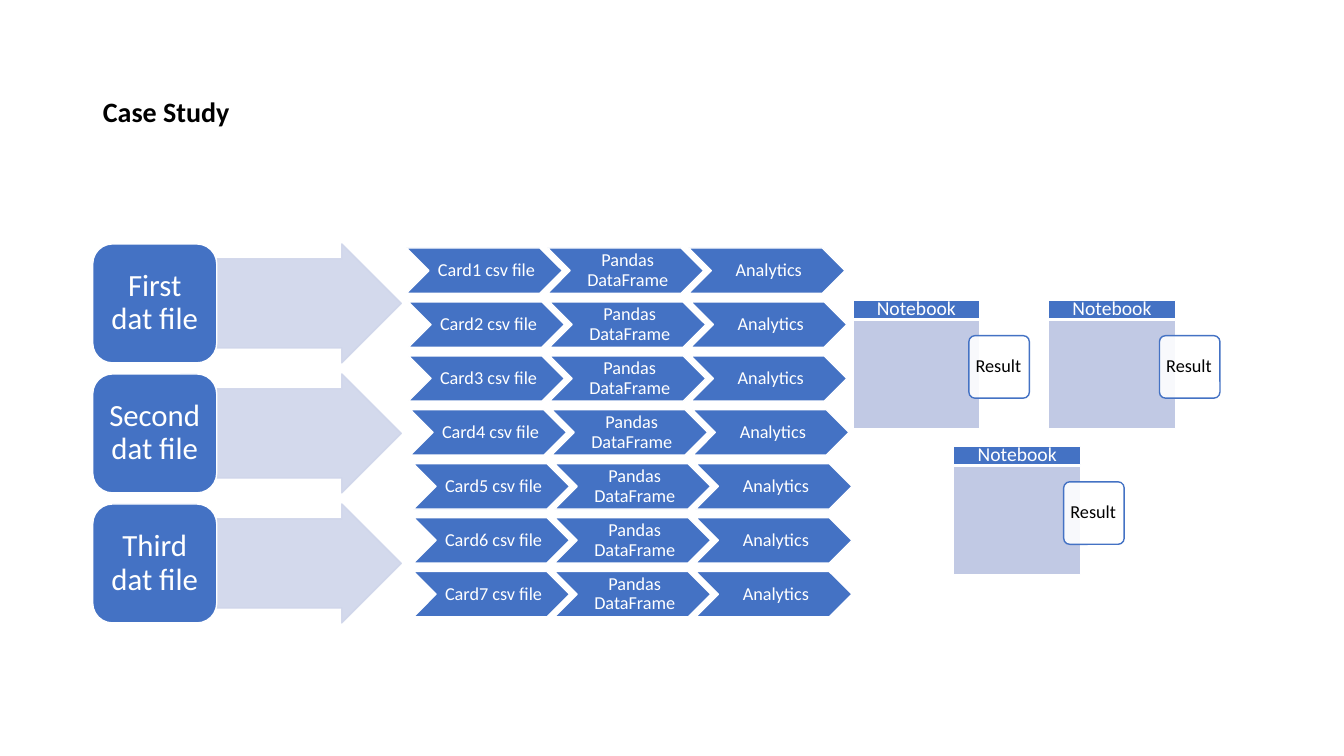
from dataclasses import dataclass

from lxml import etree
from pptx import Presentation
from pptx.dml.color import RGBColor
from pptx.enum.shapes import MSO_SHAPE
from pptx.enum.text import MSO_ANCHOR, PP_ALIGN
from pptx.oxml.ns import qn
from pptx.util import Inches, Pt

RECTANGLE = MSO_SHAPE.RECTANGLE
ROUNDED = MSO_SHAPE.ROUNDED_RECTANGLE
ARROW = MSO_SHAPE.RIGHT_ARROW
CHEVRON = MSO_SHAPE.CHEVRON
MIDDLE = MSO_ANCHOR.MIDDLE
LEFT, CENTER = PP_ALIGN.LEFT, PP_ALIGN.CENTER

FONT = "Calibri"
COLORS = {
    "blue": "4472C4",
    "arrow": "CFD5EA",
    "panel": "C1C9E4",
    "white": "FFFFFF",
    "black": "000000",
}


@dataclass(frozen=True)
class Style:
    kind: MSO_SHAPE
    fill: str
    line: str
    adjustments: tuple[float, ...] = ()
    fill_opacity: int = 100
    line_opacity: int = 100
    size: int = 13
    color: str = "white"
    align: PP_ALIGN = CENTER
    insets: tuple[float, float, float, float] = (0.05, 0.05, 0.05, 0.05)


@dataclass(frozen=True)
class Notebook:
    left: float
    top: float
    result_left: float


FILE_ARROW = Style(ARROW, "arrow", "arrow", (0.75, 0.5), 90, 90)
FILE_BOX = Style(ROUNDED, "blue", "white", size=22, insets=(0.09, 0.05, 0.09, 0.05))
STEP = Style(CHEVRON, "blue", "white", insets=(0.06, 0.02, 0.02, 0.02))
PANEL = Style(RECTANGLE, "panel", "white")
HEADER = Style(RECTANGLE, "blue", "white", size=14, insets=(0.06, 0.06, 0.06, 0.06))
RESULT = Style(ROUNDED, "white", "blue", (0.1,), 90, color="black", align=LEFT)

FILES = ["First dat file", "Second dat file", "Third dat file"]
FILE_TOP, FILE_PITCH = 2.42, 1.29
ROW_LEFTS = [4.03, 4.05, 4.05, 4.07, 4.1, 4.1, 4.1]
FIRST_ROW, LAST_ROW = 2.46, 5.67
ROW_PITCH = (LAST_ROW - FIRST_ROW) / (len(ROW_LEFTS) - 1)
STEP_PITCH = 1.4
NOTEBOOKS = [
    Notebook(8.46, 2.98, 9.61),
    Notebook(10.4, 2.98, 11.5),
    Notebook(9.46, 4.43, 10.55),
]


def color_of(name: str) -> RGBColor:
    return RGBColor.from_string(COLORS[name])


def set_opacity(properties, percent: int) -> None:
    """Add an alpha value to the solid fill directly under an element."""
    if percent < 100:
        color = properties.find(qn("a:solidFill"))[0]
        etree.SubElement(color, qn("a:alpha"), val=str(percent * 1000))


def write_text(shape, text: str, size: int, color: str, align: PP_ALIGN,
               bold: bool = False) -> None:
    frame = shape.text_frame
    frame.word_wrap = True
    frame.vertical_anchor = MIDDLE
    paragraph = frame.paragraphs[0]
    paragraph.alignment = align
    paragraph.line_spacing = 0.9
    run = paragraph.add_run()
    run.text = text
    for name, value in {"name": FONT, "size": Pt(size), "bold": bold}.items():
        setattr(run.font, name, value)
    run.font.color.rgb = color_of(color)


def add_styled_shape(slide, style: Style, left: float, top: float,
                     width: float, height: float, text: str = "") -> None:
    shape = slide.shapes.add_shape(
        style.kind, Inches(left), Inches(top), Inches(width), Inches(height))
    shape.shadow.inherit = False
    for index, value in enumerate(style.adjustments):
        shape.adjustments[index] = value
    shape.fill.solid()
    shape.fill.fore_color.rgb = color_of(style.fill)
    shape.line.color.rgb = color_of(style.line)
    shape.line.width = Pt(1)
    properties = shape.element.spPr
    set_opacity(properties, style.fill_opacity)
    set_opacity(properties.find(qn("a:ln")), style.line_opacity)
    if text:
        for side, inset in zip(("left", "top", "right", "bottom"), style.insets):
            setattr(shape.text_frame, f"margin_{side}", Inches(inset))
        write_text(shape, text, style.size, style.color, style.align)


def add_title(slide) -> None:
    title = slide.shapes.title
    place = {"left": 0.92, "top": 0.4, "width": 11.5, "height": 1.45}
    for name, value in place.items():
        setattr(title, name, Inches(value))
    write_text(title, "Case Study", 20, "black", LEFT, bold=True)


def add_files(slide) -> None:
    for index, label in enumerate(FILES):
        top = FILE_TOP + index * FILE_PITCH
        add_styled_shape(slide, FILE_ARROW, 2.14, top, 1.84, 1.18)
        add_styled_shape(slide, FILE_BOX, 0.92, top, 1.23, 1.18, label)


def add_card_rows(slide) -> None:
    for row, row_left in enumerate(ROW_LEFTS):
        labels = (f"Card{row + 1} csv file", "Pandas DataFrame", "Analytics")
        for column, label in enumerate(labels):
            add_styled_shape(slide, STEP, row_left + column * STEP_PITCH,
                             FIRST_ROW + row * ROW_PITCH, 1.55, 0.45, label)


def add_notebook(slide, notebook: Notebook) -> None:
    left, top = notebook.left, notebook.top
    add_styled_shape(slide, PANEL, left, top + 0.2, 1.26, 1.07)
    add_styled_shape(slide, RESULT, notebook.result_left, top + 0.35, 0.6, 0.62, "Result")
    add_styled_shape(slide, HEADER, left, top, 1.26, 0.18, "Notebook")


def main() -> None:
    presentation = Presentation()
    presentation.slide_width = Inches(13.33)
    presentation.slide_height = Inches(7.5)
    slide = presentation.slides.add_slide(presentation.slide_layouts[5])

    # Title, then the flow from left to right
    add_title(slide)
    add_files(slide)
    add_card_rows(slide)
    for notebook in NOTEBOOKS:
        add_notebook(slide, notebook)

    presentation.save("out.pptx")


if __name__ == "__main__":
    main()
